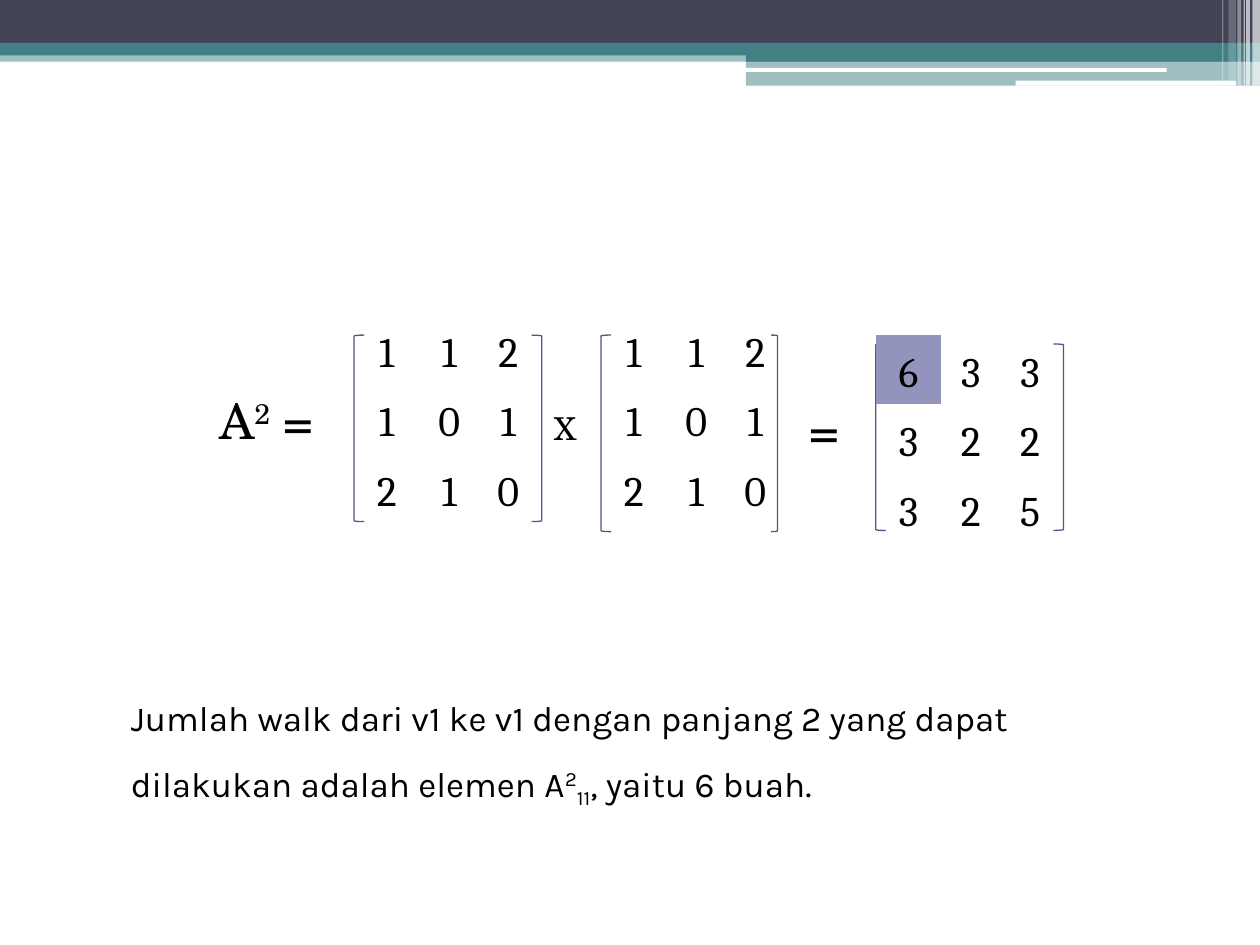
from dataclasses import dataclass

from lxml.etree import SubElement
from pptx import Presentation
from pptx.dml.color import RGBColor
from pptx.enum.shapes import MSO_SHAPE
from pptx.enum.text import MSO_ANCHOR, MSO_AUTO_SIZE, PP_ALIGN
from pptx.oxml.ns import qn
from pptx.util import Inches, Pt


@dataclass(frozen=True)
class Theme:
    navy: str = "424456"
    teal: str = "438086"
    white: str = "FFFFFF"
    ink: str = "000000"
    bracket: str = "53548A"
    highlight: str = "9394BE"
    math_font: str = "TeX Gyre Schola"
    matrix_font: str = "Cambria"
    body_font: str = "Karla"
    math_size: int = 28
    matrix_size: int = 24
    body_size: int = 20
    times_size: int = 18


THEME = Theme()
NO_GRID_STYLE = "{2D5ABB26-0587-4C30-8999-92F81FD0307C}"
COLUMN_WIDTHS = (0.52, 0.47, 0.47)
ROW_HEIGHT = 0.55

# Left, top, width, height, colour, opacity in percent
HEADER_BANDS = [
    (0, 0.4, 10, 0.09, THEME.teal, 50),
    (0, 0, 10, 0.34, THEME.navy, 100),
    (0, 0.34, 10, 0.1, THEME.teal, 100),
    (5.92, 0.39, 4.08, 0.1, THEME.teal, 100),
    (5.92, 0.48, 4.08, 0.2, THEME.teal, 50),
]
ROUNDED_BARS = [(5.91, 0.54, 3.35, 0.03), (8.06, 0.64, 1.75, 0.04)]
# Left, width, height, opacity in percent
CORNER_STRIPES = [
    (9.94, 0.06, 0.68, 65),
    (9.89, 0.03, 0.68, 65),
    (9.87, 0.01, 0.68, 60),
    (9.82, 0.03, 0.68, 40),
    (9.75, 0.06, 0.64, 20),
    (9.7, 0.01, 0.64, 30),
]


def inches(*lengths):
    return [Inches(length) for length in lengths]


def add_block(slide, box, color, opacity=100, kind=MSO_SHAPE.RECTANGLE):
    block = slide.shapes.add_shape(kind, *inches(*box))
    block.shadow.inherit = False
    block.line.fill.background()
    block.fill.solid()
    block.fill.fore_color.rgb = RGBColor.from_string(color)
    if opacity < 100:
        color_node = next(block.element.spPr.iter(qn("a:srgbClr")))
        SubElement(color_node, qn("a:alpha"), val=str(opacity * 1000))


def add_bracket(slide, kind, left, top, width, height):
    bracket = slide.shapes.add_shape(kind, *inches(left, top, width, height))
    bracket.shadow.inherit = False
    bracket.fill.background()
    bracket.line.color.rgb = RGBColor.from_string(THEME.bracket)
    bracket.line.width = Pt(0.75)


def add_brackets(slide, left, right, top, height, right_width=0.08):
    add_bracket(slide, MSO_SHAPE.LEFT_BRACKET, left, top, 0.08, height)
    add_bracket(slide, MSO_SHAPE.RIGHT_BRACKET, right, top, right_width, height)


def write_text(frame, runs, *, font, size, align=None, spacing=None):
    """Write (text, baseline percent) runs as one paragraph."""
    paragraph = frame.paragraphs[0]
    paragraph.alignment = align
    paragraph.line_spacing = spacing
    for text, baseline in runs:
        run = paragraph.add_run()
        run.text = text
        run.font.name = font
        run.font.size = Pt(size)
        run.font.color.rgb = RGBColor.from_string(THEME.ink)
        if baseline:
            run.font._element.set("baseline", str(baseline * 1000))


def add_label(slide, box, runs, wrap=True, **text_format):
    frame = slide.shapes.add_textbox(*inches(*box)).text_frame
    frame.word_wrap = wrap
    frame.auto_size = MSO_AUTO_SIZE.SHAPE_TO_FIT_TEXT
    write_text(frame, runs, **text_format)


def add_matrix(slide, left, top, rows, highlighted=None):
    frame = slide.shapes.add_table(
        len(rows), len(COLUMN_WIDTHS),
        *inches(left, top, sum(COLUMN_WIDTHS), ROW_HEIGHT * len(rows)))
    next(frame.element.iter(qn("a:tableStyleId"))).text = NO_GRID_STYLE
    matrix = frame.table
    matrix.first_row = matrix.horz_banding = False
    for column, width in zip(matrix.columns, COLUMN_WIDTHS):
        column.width = Inches(width)
    for r, values in enumerate(rows):
        for c, value in enumerate(values):
            cell = matrix.cell(r, c)
            cell.margin_left = cell.margin_right = Inches(0.05)
            cell.margin_top, cell.margin_bottom = inches(0.01, 0)
            cell.vertical_anchor = MSO_ANCHOR.MIDDLE
            if (r, c) == highlighted:
                cell.fill.solid()
                cell.fill.fore_color.rgb = RGBColor.from_string(THEME.highlight)
            else:
                cell.fill.background()
            write_text(cell.text_frame, [(value, 0)], font=THEME.matrix_font,
                       size=THEME.matrix_size, align=PP_ALIGN.CENTER,
                       spacing=1.15)


def add_header(slide):
    for *box, color, opacity in HEADER_BANDS:
        add_block(slide, box, color, opacity)
    for box in ROUNDED_BARS:
        add_block(slide, box, THEME.white, kind=MSO_SHAPE.ROUNDED_RECTANGLE)
    for left, width, height, opacity in CORNER_STRIPES:
        add_block(slide, (left, 0, width, height), THEME.white, opacity)


def add_equation(slide):
    adjacency = ("112", "101", "210")
    squared = ("633", "322", "325")
    math = {"font": THEME.math_font, "size": THEME.math_size}

    # Left factor
    add_matrix(slide, 2.81, 2.5, adjacency)
    add_brackets(slide, 2.81, 4.22, 2.66, 1.48)
    add_label(slide, (1.64, 3.05, 1.17, 0.57),
              [("A", 0), ("2", 30), (" =", 0)], **math)

    # Right factor
    add_matrix(slide, 4.77, 2.5, adjacency)
    add_brackets(slide, 4.77, 6.12, 2.66, 1.56, right_width=0.05)
    add_label(slide, (4.3, 3.2, 0.38, 0.4), [("X", 0)], wrap=False,
              font=THEME.math_font, size=THEME.times_size)

    # Product, with the brackets behind the highlighted cell
    add_brackets(slide, 6.95, 8.36, 2.73, 1.48)
    add_label(slide, (6.33, 3.12, 0.55, 0.57), [("=", 0)], **math)
    add_matrix(slide, 6.95, 2.66, squared, highlighted=(0, 0))


def main():
    deck = Presentation()
    deck.slide_width, deck.slide_height = inches(10, 7.5)
    slide = deck.slides.add_slide(deck.slide_layouts[6])

    add_header(slide)
    add_equation(slide)

    # Conclusion
    add_label(slide, (0.94, 5.31, 7.89, 1.05),
              [("Jumlah walk dari v1 ke v1 dengan panjang 2 yang dapat "
                "dilakukan adalah elemen A", 0),
               ("2", 30), ("11", -25), (", yaitu 6 buah.", 0)],
              font=THEME.body_font, size=THEME.body_size, spacing=1.5)

    deck.save("out.pptx")


if __name__ == "__main__":
    main()
